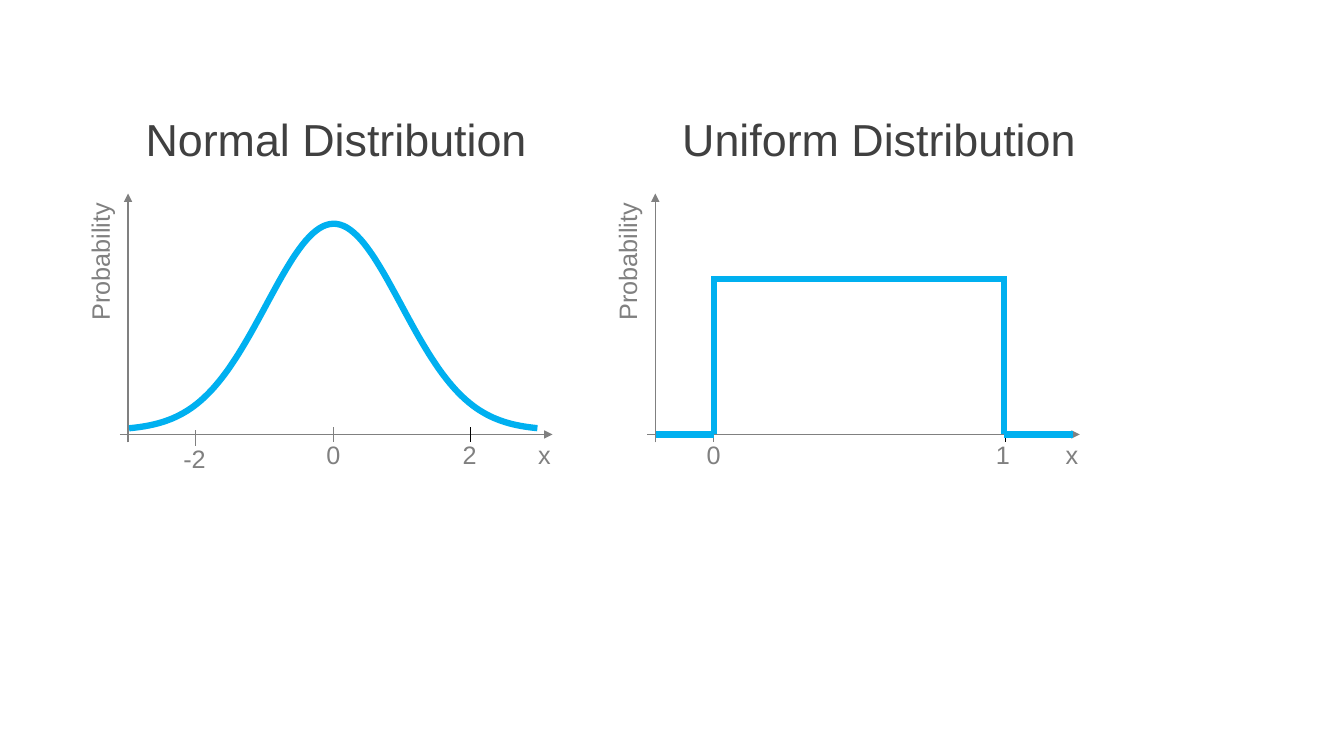
from math import exp
from typing import NamedTuple

from lxml import etree
from pptx import Presentation
from pptx import util as u
from pptx.dml.color import RGBColor
from pptx.enum import shapes, text
from pptx.oxml import ns

GREY, DARK, BLACK, BLUE = "808080", "404040", "000000", "00B0F0"
BASE = 4.31  # height of both x axes
THICK = 4.5


class Label(NamedTuple):
    """A text box: wording, place, size and look."""
    words: str
    left: float
    top: float
    width: float
    height: float = 0.4
    size: int = 18
    color: str = GREY
    turn: int = 0
    center: bool = False


class Line(NamedTuple):
    """A straight line from (x1, y1) to (x2, y2)."""
    x1: float
    y1: float
    x2: float
    y2: float
    color: str = GREY
    width: float = 1
    arrow: bool = False


class Plot(NamedTuple):
    """A pair of axes with its heading."""
    title: str
    left: float
    head: float
    width: float


def paint(hue: str) -> RGBColor:
    """Turn a hex string into a colour."""
    return RGBColor.from_string(hue)


def write(slide, item: Label) -> None:
    """Add one text box."""
    box = slide.shapes.add_textbox(
        *map(u.Inches, (item.left, item.top, item.width, item.height)))
    box.rotation = item.turn
    frame = box.text_frame
    frame.word_wrap = False
    frame.auto_size = text.MSO_AUTO_SIZE.SHAPE_TO_FIT_TEXT
    para = frame.paragraphs[0]
    para.text = item.words
    if item.center:
        para.alignment = text.PP_ALIGN.CENTER
    para.font.name = "Arial"
    para.font.size = u.Pt(item.size)
    para.font.color.rgb = paint(item.color)


def draw(slide, item: Line) -> None:
    """Add one straight line, with an arrowhead if asked."""
    line = slide.shapes.add_connector(
        shapes.MSO_CONNECTOR.STRAIGHT,
        *map(u.Inches, (item.x1, item.y1, item.x2, item.y2)))
    line.line.color.rgb = paint(item.color)
    line.line.width = u.Pt(item.width)
    if item.arrow:
        etree.SubElement(line.line._get_or_add_ln(), ns.qn("a:tailEnd"),
                         type="triangle")
    etree.SubElement(line._element.spPr, ns.qn("a:effectLst"))


def frame(slide, plot: Plot) -> None:
    """Add the heading, the axes and their names."""
    left = plot.left
    write(slide, Label(plot.title, plot.head, 1.06, plot.width, 0.64, 32,
                       DARK, center=True))
    draw(slide, Line(left, BASE, left + 4.29, BASE, arrow=True))
    write(slide, Label("x", left + 4.05, BASE, 0.33))
    draw(slide, Line(left + 0.08, 4.39, left + 0.08, 1.92, arrow=True))
    write(slide, Label("Probability", left - 0.89, 2.39, 1.38, turn=270))


def bell(slide, start: float, end: float, mid: float, sigma: float) -> None:
    """Add the normal curve, sampled at equal steps."""
    foot, peak, steps = 4.27, 2.05, 120
    points = []
    for step in range(steps + 1):
        x = start + (end - start) * step / steps
        y = foot - peak * exp(-((x - mid) / sigma) ** 2 / 2)
        points.append((u.Inches(x), u.Inches(y)))
    pen = slide.shapes.build_freeform(*points[0])
    pen.add_line_segments(points[1:], close=False)
    curve = pen.convert_to_shape()
    curve.shadow.inherit = False
    curve.fill.background()
    curve.line.color.rgb = paint(BLUE)
    curve.line.width = u.Pt(THICK)


PLOTS = [
    Plot("Normal Distribution", 1.19, 1.33, 4.01),
    Plot("Uniform Distribution", 6.42, 6.65, 4.14),
]
MARKS = [
    Label("-2", 1.72, 4.35, 0.43),
    Label("0", 3.14, BASE, 0.34),
    Label("2", 4.49, BASE, 0.34),
    Label("0", 6.91, BASE, 0.34),
    Label("1", 9.78, BASE, 0.34),
]
TICKS = [(1.94, 4.27, GREY), (3.31, 4.24, GREY), (4.67, 4.24, BLACK),
         (7.08, 4.24, GREY), (9.97, 4.24, BLACK)]
LOW, HIGH = 7.08, 9.96  # edges of the uniform range
STEPS = [
    (LOW, 2.77, HIGH, 2.77),
    (6.51, BASE, LOW, BASE),
    (HIGH, BASE, 10.64, BASE),
    (LOW, BASE, LOW, 2.74),
    (HIGH, BASE, HIGH, 2.74),
]

deck = Presentation()
deck.slide_width, deck.slide_height = u.Inches(13.33), u.Inches(7.5)
page = deck.slides.add_slide(deck.slide_layouts[6])

for plot in PLOTS:
    frame(page, plot)
bell(page, 1.28, 5.33, 3.31, 0.67)
for mark in MARKS:
    write(page, mark)
for x, top, hue in TICKS:
    draw(page, Line(x, top, x, top + 0.15, hue, 0.5))
for ends in STEPS:
    draw(page, Line(*ends, BLUE, THICK))

deck.save("out.pptx")
